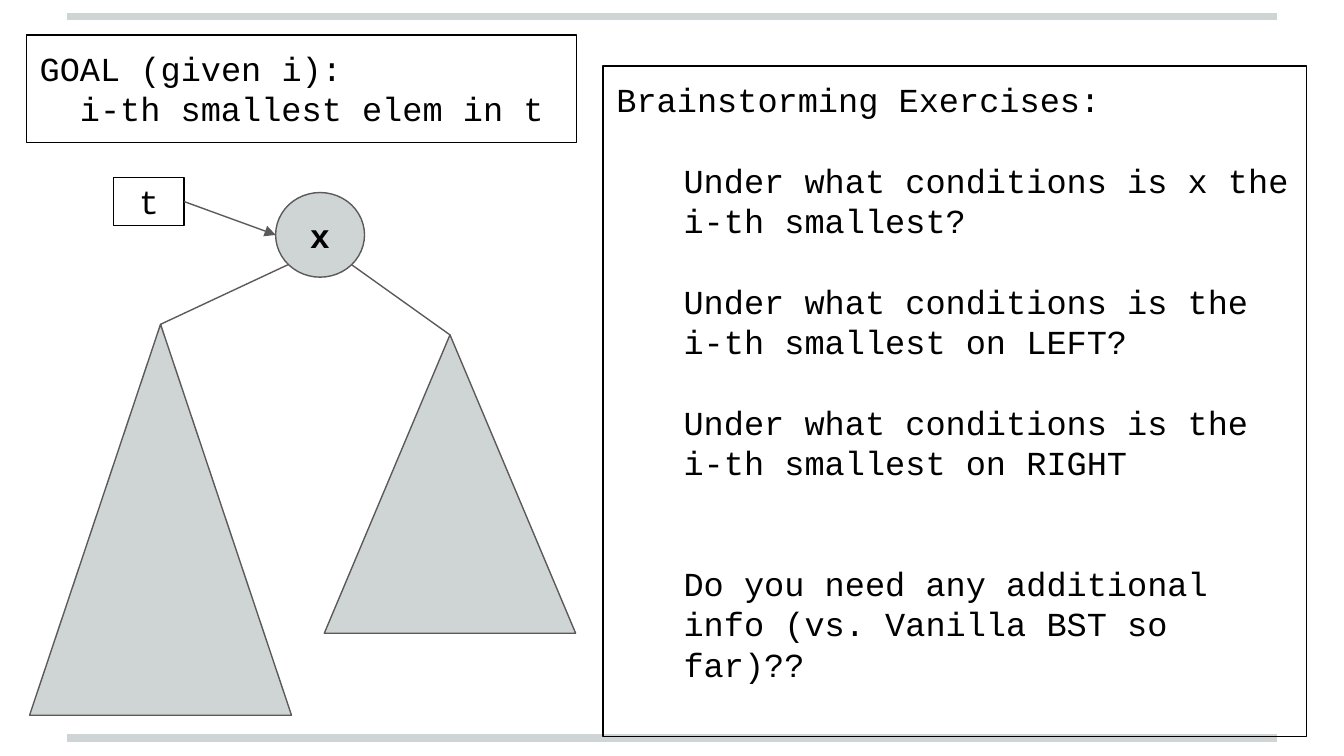
from pptx import Presentation
from pptx.dml.color import RGBColor
from pptx.enum.shapes import MSO_CONNECTOR, MSO_SHAPE
from pptx.enum.text import MSO_ANCHOR, PP_ALIGN
from pptx.oxml.ns import qn
from pptx.util import Cm, Pt
from lxml.etree import SubElement

GREY, DARK, BLACK = "CFD4D4", "5B595A", "000000"


def rgb(hex_color):
    """Turn a hex string into a colour."""
    return RGBColor.from_string(hex_color)


class Deck:
    """Holds the text style and the current slide."""

    font, size, inset = "Courier New", Pt(18), Cm(0.25)

    def __init__(self, slide):
        self.s = slide

    def shape(self, kind, x, y, w, h, fill=None, line=DARK):
        """Add a preset shape with a thin outline."""
        sp = self.s.shapes.add_shape(kind, Cm(x), Cm(y), Cm(w), Cm(h))
        sp.shadow.inherit = False
        if fill:
            sp.fill.solid()
            sp.fill.fore_color.rgb = rgb(fill)
        else:
            sp.fill.background()
        sp.line.color.rgb = rgb(line)
        sp.line.width = Pt(0.75)
        return sp

    def text(self, sp, paragraphs, centred=False, bold=False):
        """Write (text, indent in cm, space before in pt) paragraphs."""
        tf = sp.text_frame
        tf.word_wrap = True
        tf.margin_left = tf.margin_right = self.inset
        tf.margin_top = tf.margin_bottom = self.inset
        tf.vertical_anchor = MSO_ANCHOR.MIDDLE if centred else MSO_ANCHOR.TOP
        for i, (words, indent, before) in enumerate(paragraphs):
            p = tf.add_paragraph() if i else tf.paragraphs[0]
            p.text = words
            p.alignment = PP_ALIGN.CENTER if centred else PP_ALIGN.LEFT
            p.space_before = Pt(before)
            p.font.name, p.font.size, p.font.bold = self.font, self.size, bold
            p.font.color.rgb = rgb(BLACK)
            if indent:
                pPr = p._p.get_or_add_pPr()
                pPr.set("marL", str(Cm(indent)))
                pPr.set("indent", "0")

    def box(self, x, y, w, h, paragraphs, centred=False):
        """Add an outlined text box."""
        sp = self.shape(MSO_SHAPE.RECTANGLE, x, y, w, h, line=BLACK)
        self.text(sp, paragraphs, centred)

    def line(self, x1, y1, x2, y2, color=DARK, width=0.75, arrow=False):
        """Add a straight line, with an arrowhead at its end if asked."""
        c = self.s.shapes.add_connector(
            MSO_CONNECTOR.STRAIGHT, Cm(x1), Cm(y1), Cm(x2), Cm(y2))
        c.line.color.rgb = rgb(color)
        c.line.width = Pt(width)
        if arrow:
            SubElement(c.line._get_or_add_ln(), qn("a:tailEnd"), type="triangle")
        SubElement(c._element.spPr, qn("a:effectLst"))


prs = Presentation()
prs.slide_width, prs.slide_height = Cm(25.4), Cm(14.29)
deck = Deck(prs.slides.add_slide(prs.slide_layouts[6]))

for y in (13.95, 0.31):
    deck.line(1.27, y, 24.13, y, GREY, 4)

# Tree: root, then each subtree with the edge to its apex
root = deck.shape(MSO_SHAPE.OVAL, 5.21, 3.64, 1.68, 1.6, GREY)
deck.text(root, [("x", 0, 0)], centred=True, bold=True)
subtrees = [(5.45, 0.56, 6.13, 4.95, 7.39), (6.64, 6.13, 6.33, 4.75, 5.64)]
for edge_x, x, y, w, h in subtrees:
    deck.shape(MSO_SHAPE.ISOSCELES_TRIANGLE, x, y, w, h, GREY)
    deck.line(edge_x, 5.0, x + w / 2, y)

# Question panel: gaps are whole lines of text
LINE = 21.6
deck.box(11.4, 1.25, 13.29, 12.67, [
    ("Brainstorming Exercises:", 0, 0),
    ("Under what conditions is x the i-th smallest?", 1.27, LINE),
    ("Under what conditions is the i-th smallest on LEFT?", 1.27, LINE),
    ("Under what conditions is the i-th smallest on RIGHT", 1.27, LINE),
    ("Do you need any additional info (vs. Vanilla BST so far)??", 1.27, 2 * LINE),
])
deck.box(0.5, 0.66, 10.4, 2.03, [
    ("GOAL (given i):", 0, 0),
    ("i-th smallest elem in t", 0.76, 0),
])

deck.box(2.15, 3.36, 1.33, 0.9, [("t", 0, 0)], centred=True)
deck.line(3.48, 3.81, 5.21, 4.44, arrow=True)

prs.save("out.pptx")
